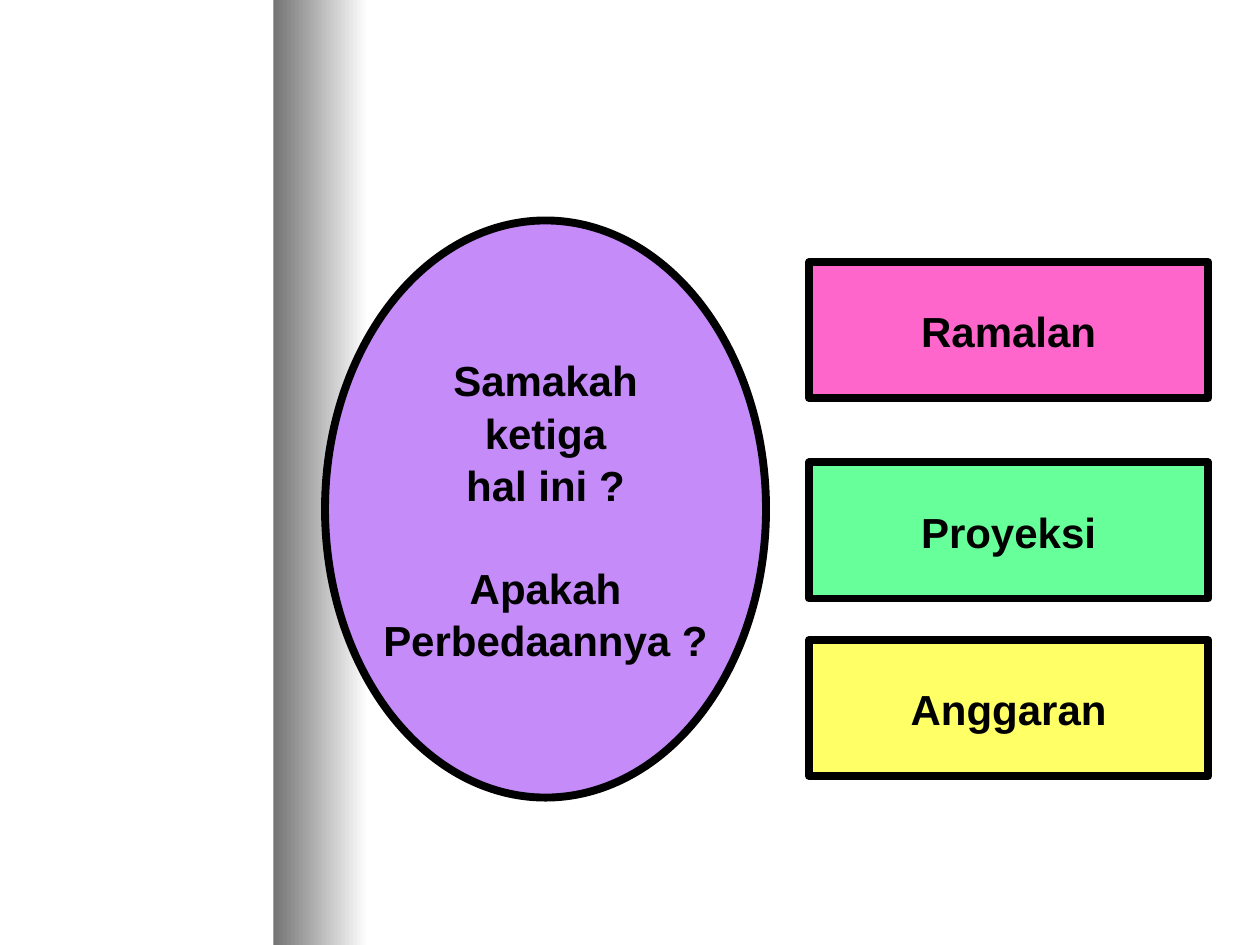
from dataclasses import dataclass

import pptx
import pptx.dml.color
import pptx.enum.shapes
import pptx.enum.text
import pptx.shapes.autoshape
import pptx.slide
import pptx.util

Inches = pptx.util.Inches
Pt = pptx.util.Pt
RGBColor = pptx.dml.color.RGBColor
Shapes = pptx.enum.shapes.MSO_SHAPE

BLACK = RGBColor(0x00, 0x00, 0x00)
WHITE = RGBColor(0xFF, 0xFF, 0xFF)
GRAY = RGBColor(0x74, 0x74, 0x74)
PURPLE = RGBColor(0xC5, 0x8B, 0xF9)
PINK = RGBColor(0xFF, 0x66, 0xCC)
GREEN = RGBColor(0x66, 0xFF, 0x99)
YELLOW = RGBColor(0xFF, 0xFF, 0x66)

TEXT_SIZE = Pt(24)
LINE_SPACING = 1.04
QUESTION_GAP = Pt(28.8)


@dataclass(frozen=True)
class Panel:
    kind: Shapes
    left: float
    top: float
    width: float
    height: float
    color: RGBColor
    text: str


def term_box(top: float, color: RGBColor, text: str) -> Panel:
    return Panel(Shapes.RECTANGLE, 6.42, top, 3.17, 1.08, color, text)


QUESTIONS = Panel(
    Shapes.OVAL, 2.58, 1.75, 3.5, 4.58, PURPLE,
    "Samakah\nketiga\nhal ini ?\nApakah\nPerbedaannya ?",
)
TERMS = [
    term_box(2.08, PINK, "Ramalan"),
    term_box(3.67, GREEN, "Proyeksi"),
    term_box(5.08, YELLOW, "Anggaran"),
]


def draw_shadow_band(slide: pptx.slide.Slide) -> None:
    band = slide.shapes.add_shape(
        Shapes.RECTANGLE, Inches(2.17), 0, Inches(0.75), Inches(7.5)
    )
    band.shadow.inherit = False
    band.line.fill.background()
    band.fill.gradient()
    band.fill.gradient_angle = 0
    for stop, color, position in zip(band.fill.gradient_stops, (GRAY, WHITE), (0, 1)):
        stop.color.rgb = color
        stop.position = position


def draw_panel(
    slide: pptx.slide.Slide, panel: Panel
) -> pptx.shapes.autoshape.Shape:
    shape = slide.shapes.add_shape(
        panel.kind, Inches(panel.left), Inches(panel.top),
        Inches(panel.width), Inches(panel.height),
    )
    shape.shadow.inherit = False
    shape.fill.solid()
    shape.fill.fore_color.rgb = panel.color
    shape.line.color.rgb = BLACK
    shape.line.width = Pt(4.5)

    text_frame = shape.text_frame
    text_frame.text = panel.text
    text_frame.word_wrap = False
    text_frame.vertical_anchor = pptx.enum.text.MSO_ANCHOR.MIDDLE
    for paragraph in text_frame.paragraphs:
        paragraph.alignment = pptx.enum.text.PP_ALIGN.CENTER
        paragraph.line_spacing = LINE_SPACING
        for run in paragraph.runs:
            run.font.name = "Arial"
            run.font.size = TEXT_SIZE
            run.font.bold = True
            run.font.color.rgb = BLACK
    return shape


def main() -> None:
    presentation = pptx.Presentation()
    presentation.slide_width = Inches(10)
    presentation.slide_height = Inches(7.5)
    slide = presentation.slides.add_slide(presentation.slide_layouts[6])

    draw_shadow_band(slide)
    questions = draw_panel(slide, QUESTIONS)
    second_question = questions.text_frame.paragraphs[3]
    second_question.space_before = QUESTION_GAP
    for term in TERMS:
        draw_panel(slide, term)

    presentation.save("out.pptx")


if __name__ == "__main__":
    main()
